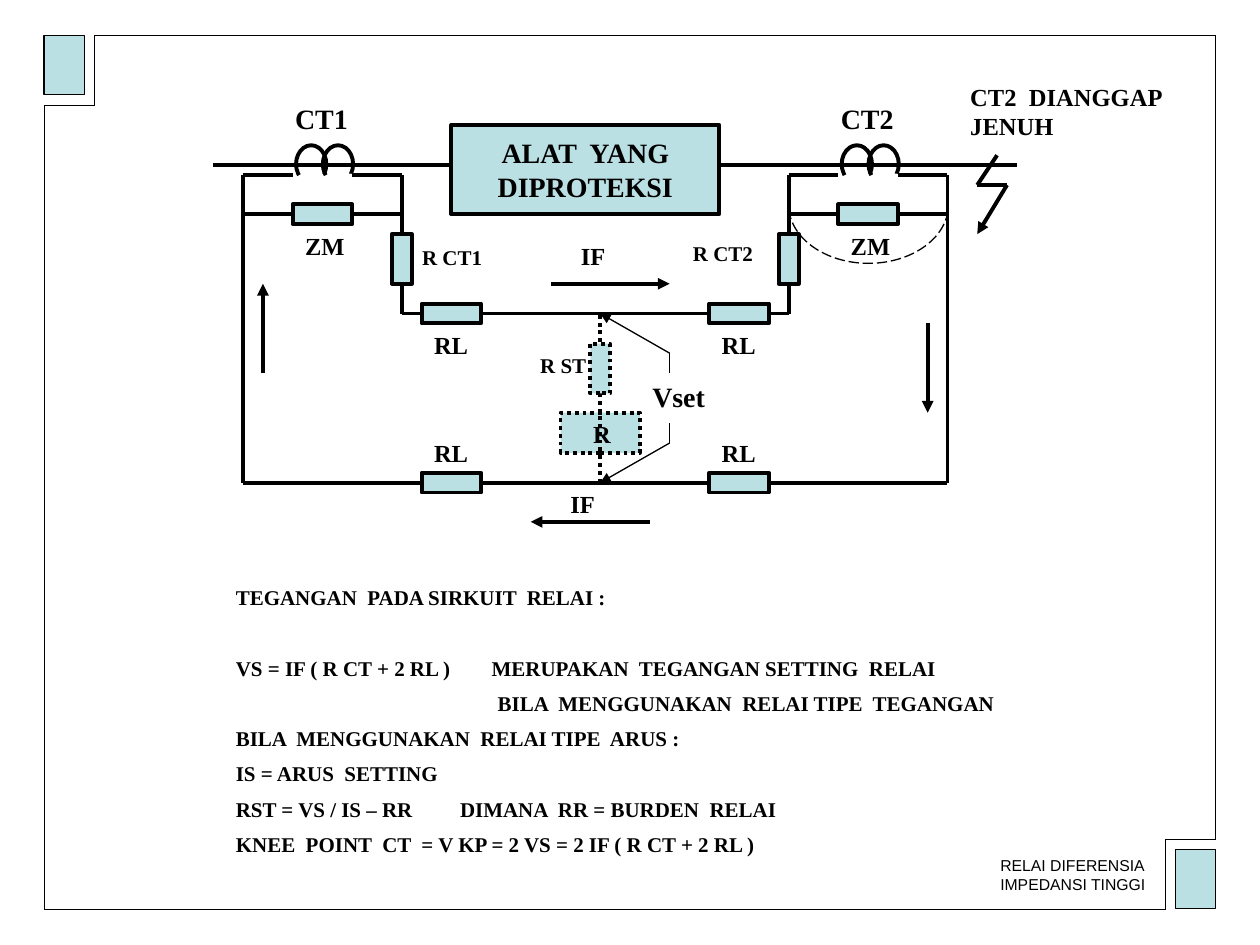
"""Build the slide on high-impedance differential relay protection with its circuit and formulas."""
import dataclasses

import lxml.etree
import pptx
import pptx.dml.color
import pptx.enum.dml
import pptx.enum.shapes
import pptx.enum.text
import pptx.oxml.ns
import pptx.util

Cm = pptx.util.Cm
Pt = pptx.util.Pt
qn = pptx.oxml.ns.qn
SHAPES = pptx.enum.shapes.MSO_SHAPE
DASHES = pptx.enum.dml.MSO_LINE
ALIGN = pptx.enum.text.PP_ALIGN
ANCHOR = pptx.enum.text.MSO_ANCHOR
FIT = pptx.enum.text.MSO_AUTO_SIZE


@dataclasses.dataclass(frozen=True)
class Theme:
    ink = pptx.dml.color.RGBColor.from_string("000000")
    panel = pptx.dml.color.RGBColor.from_string("BBE0E3")
    serif = "Times New Roman"
    sans = "Arial"
    large = 16
    medium = 14
    small = 12
    caption = 9
    thin = 0.75
    thick = 2.25


theme = Theme()
deck = pptx.Presentation()
deck.slide_width, deck.slide_height = Cm(25.4), Cm(19.05)
slide = deck.slides.add_slide(deck.slide_layouts[1])


def write(frame, lines, size, font=theme.serif, bold=True, align=ALIGN.LEFT):
    for index, line in enumerate(lines):
        paragraph = frame.paragraphs[0] if index == 0 else frame.add_paragraph()
        paragraph.alignment = align
        paragraph.space_before = Pt(0)
        for piece in filter(None, line.partition("\t")):
            run = paragraph.add_run()
            run.text = piece.replace("\t", " ")
            run.font.size, run.font.name, run.font.bold = Pt(size), font, bold
            run.font.color.rgb = theme.ink


def wire(x1, y1, x2, y2, weight=theme.thick, dash=None, arrow=False):
    line = slide.shapes.add_connector(
        pptx.enum.shapes.MSO_CONNECTOR.STRAIGHT, Cm(x1), Cm(y1), Cm(x2), Cm(y2))
    line.line.color.rgb = theme.ink
    line.line.width = Pt(weight)
    if dash:
        line.line.dash_style = dash
    properties = line.element.spPr
    if arrow:
        lxml.etree.SubElement(properties.find(qn("a:ln")), qn("a:tailEnd"), type="triangle")
    lxml.etree.SubElement(properties, qn("a:effectLst"))


caption = slide.shapes.title
caption.left, caption.top, caption.width, caption.height = Cm(19.91), Cm(17.12), Cm(3.58), Cm(1.02)
caption.text_frame.word_wrap = False
caption.text_frame.auto_size = FIT.NONE
caption.text_frame.vertical_anchor = ANCHOR.TOP
caption.text_frame.margin_right = Cm(0)
write(caption.text_frame, ["RELAI DIFERENSIA", "IMPEDANSI TINGGI"], theme.caption, theme.sans, False)

formulas = slide.placeholders[1]
formulas.left, formulas.top, formulas.width, formulas.height = Cm(4.5), Cm(11.46), Cm(16.1), Cm(5.94)
formulas.text_frame.word_wrap = False
formulas.text_frame.auto_size = FIT.NONE
formula_lines = [
    ("TEGANGAN  PADA SIRKUIT  RELAI :", 0, 0, 0),
    ("VS = IF ( R CT + 2 RL )\tMERUPAKAN  TEGANGAN SETTING  RELAI", 20, 0, 20.5),
    ("BILA  MENGGUNAKAN  RELAI TIPE  TEGANGAN", 0, 5.28, 0),
    ("BILA  MENGGUNAKAN  RELAI TIPE  ARUS :", 0, 0, 0),
    ("IS = ARUS  SETTING", 0, 0, 0),
    ("RST = VS / IS – RR\tDIMANA  RR = BURDEN  RELAI", 0, 0, 24),
    ("KNEE  POINT  CT  = V KP = 2 VS = 2 IF ( R CT + 2 RL )", 0, 0, 0),
]
write(formulas.text_frame, [line[0] for line in formula_lines], theme.small)
for paragraph, (_, lead, indent, gap) in zip(formulas.text_frame.paragraphs, formula_lines):
    paragraph.line_spacing = 1.4
    paragraph.space_before = Pt(lead)
    settings = paragraph._p.get_or_add_pPr()
    settings.set("marL", str(Cm(indent)))
    settings.set("indent", "0")
    lxml.etree.SubElement(settings, qn("a:buNone"))
    if gap:
        paragraph.runs[1]._r.get_or_add_rPr().set("spc", str(int(gap * 100)))

border_lines = [
    (0.89, 2.13, 0.89, 18.34), (24.51, 0.71, 24.51, 16.92),
    (0.89, 18.34, 23.5, 18.34), (1.9, 0.71, 24.51, 0.71),
    (1.9, 0.71, 1.9, 2.13), (0.89, 2.13, 1.9, 2.13),
    (23.5, 16.92, 23.5, 18.34), (23.5, 16.92, 24.51, 16.92),
]
for ends in border_lines:
    wire(*ends, weight=theme.thin)

circuit_wires = [
    (9.1, 3.33, 4.3, 3.33), (20.5, 3.33, 14.5, 3.33),
    (4.9, 3.53, 4.9, 9.73), (8.1, 3.53, 8.1, 6.32),
    (15.9, 3.53, 15.9, 6.32), (19.1, 3.53, 19.1, 9.73),
    (8.1, 6.32, 15.9, 6.32), (4.9, 9.73, 19.1, 9.73),
    (20.1, 3.13, 19.7, 3.73), (19.7, 3.73, 20.3, 3.73),
]
for ends in circuit_wires:
    wire(*ends)

current_arrows = [
    (20.3, 3.73, 19.7, 4.72), (11.1, 5.72, 13.5, 5.72), (13.1, 10.52, 10.7, 10.52),
    (18.7, 6.52, 18.7, 8.32), (5.3, 7.52, 5.3, 5.72),
]
for ends in current_arrows:
    wire(*ends, arrow=True)

CT_SPACING = 11
parts = [
    (0.89, 0.71, 0.81, 1.19, theme.thin, None, []),
    (23.7, 17.12, 0.81, 1.19, theme.thin, None, []),
    (9.1, 2.52, 5.4, 1.8, theme.thick, None, ["ALAT  YANG", "DIPROTEKSI"]),
    (7.9, 4.72, 0.4, 1, theme.thick, None, []),
    (15.7, 4.72, 0.4, 1, theme.thick, None, []),
    (11.3, 8.32, 1.6, 0.81, theme.thick, DASHES.ROUND_DOT, []),
]
labels = [
    (12.9, 7.52, 1.7, 0.94, theme.large, ["Vset"]),
    (11.71, 8.33, 1, 0.86, theme.medium, ["R"]),
    (8.26, 4.8, 1.9, 0.76, theme.small, ["R CT1"]),
    (13.72, 4.73, 1.9, 0.76, theme.small, ["R CT2"]),
    (10.64, 6.99, 1.6, 0.76, theme.small, ["R ST"]),
    (11.46, 4.73, 1.2, 0.86, theme.medium, ["IF"]),
    (11.25, 9.73, 1.2, 0.86, theme.medium, ["IF"]),
    (19.31, 1.53, 4.5, 1.45, theme.medium, ["CT2  DIANGGAP", "JENUH"]),
]
arcs = [(15.9, 2.95, 3.22, 2.36, 4, 175, theme.thin, DASHES.LONG_DASH)]

for number, shift in enumerate((0, CT_SPACING), start=1):
    for start, end, height in ((4.9, 5.9, 3.53), (7.1, 8.1, 3.53), (5.9, 4.9, 4.32), (8.1, 7.1, 4.32)):
        wire(start + shift, height, end + shift, height)
    for coil_left in (5.97, 6.51):
        arcs.append((coil_left + shift, 2.93, 0.61, 0.76, 138, 36, theme.thick, None))
    parts.append((5.9 + shift, 4.12, 1.2, 0.4, theme.thick, None, []))
    labels.append((5.7 + shift, 1.93, 1.7, 0.94, theme.large, [f"CT{number}"]))
    labels.append((5.9 + shift, 4.53, 1.4, 0.86, theme.medium, ["ZM"]))

for lead_left in (8.5, 14.3):
    for lead_top, label_top in ((6.12, 6.53), (9.53, 8.71)):
        parts.append((lead_left, lead_top, 1.2, 0.4, theme.thick, None, []))
        labels.append((lead_left, label_top, 1.35, 0.86, theme.medium, ["RL"]))
parts.append((11.9, 6.93, 0.4, 1, theme.thick, DASHES.ROUND_DOT, []))

for left, top, width, height, weight, dash, lines in parts:
    component = slide.shapes.add_shape(SHAPES.RECTANGLE, Cm(left), Cm(top), Cm(width), Cm(height))
    component.shadow.inherit = False
    component.fill.solid()
    component.fill.fore_color.rgb = theme.panel
    component.line.color.rgb = theme.ink
    component.line.width = Pt(weight)
    component.line.dash_style = dash
    component.text_frame.word_wrap = False
    component.text_frame.vertical_anchor = ANCHOR.MIDDLE
    write(component.text_frame, lines, theme.large, align=ALIGN.CENTER)
stabilising_resistor = component

for left, top, width, height, start, end, weight, dash in arcs:
    curve = slide.shapes.add_shape(SHAPES.ARC, Cm(left), Cm(top), Cm(width), Cm(height))
    curve.shadow.inherit = False
    curve.adjustments[0], curve.adjustments[1] = start * 0.6, end * 0.6
    curve.fill.background()
    curve.line.color.rgb = theme.ink
    curve.line.width = Pt(weight)
    curve.line.dash_style = dash

wire(12.1, 8.32, 12.1, 6.32, dash=DASHES.ROUND_DOT)
wire(12.1, 9.73, 12.1, 8.32, dash=DASHES.ROUND_DOT)
slide.shapes.element.append(stabilising_resistor.element)
for bend, stem, node in ((7.12, 7.52, 6.32), (8.93, 8.53, 9.73)):
    wire(13.5, bend, 13.5, stem, weight=theme.thin)
    wire(13.5, bend, 12.1, node, weight=theme.thin, arrow=True)

for left, top, width, height, size, lines in labels:
    label = slide.shapes.add_textbox(Cm(left), Cm(top), Cm(width), Cm(height))
    label.text_frame.word_wrap = False
    label.text_frame.auto_size = FIT.NONE
    label.text_frame.margin_right = Cm(0)
    write(label.text_frame, lines, size)

deck.save("out.pptx")
